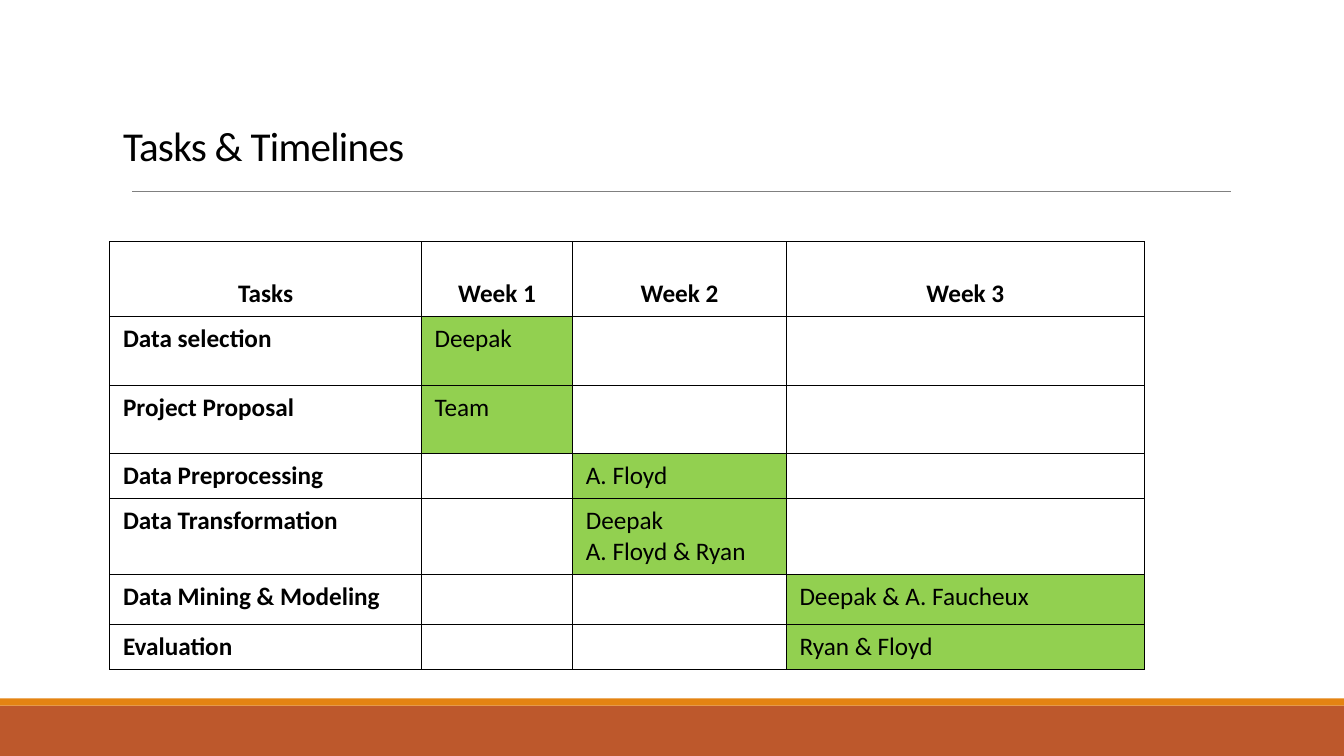
from lxml import etree
from pptx import Presentation
from pptx.dml.color import RGBColor
from pptx.enum.shapes import MSO_CONNECTOR, MSO_SHAPE
from pptx.enum.text import MSO_ANCHOR, PP_ALIGN
from pptx.oxml.ns import qn
from pptx.util import Inches, Pt

CENTER, LEFT = PP_ALIGN.CENTER, PP_ALIGN.LEFT
TOP, MIDDLE, BOTTOM = MSO_ANCHOR.TOP, MSO_ANCHOR.MIDDLE, MSO_ANCHOR.BOTTOM
RECTANGLE, STRAIGHT = MSO_SHAPE.RECTANGLE, MSO_CONNECTOR.STRAIGHT

WIDTH, HEIGHT = 13.33, 7.5
COLORS = {"ink": "000000", "paper": "FFFFFF", "assigned": "92D050",
          "rule": "808080", "rust": "BD582C", "orange": "E48312"}
TABLE_LEFT, TABLE_TOP = 1.09, 2.4
COLUMNS = [3.09, 1.5, 2.12, 3.55]
ROWS = [0.74, 0.68, 0.68, 0.44, 0.74, 0.5, 0.44]
HEADINGS = ["Tasks", "Week 1", "Week 2", "Week 3"]
TASKS = [("Data selection", 1, "Deepak"),
         ("Project Proposal", 1, "Team"),
         ("Data Preprocessing", 2, "A. Floyd"),
         ("Data Transformation", 2, "Deepak\vA. Floyd & Ryan"),
         ("Data Mining & Modeling", 3, "Deepak & A. Faucheux"),
         ("Evaluation", 3, "Ryan & Floyd")]
CELL_MARGINS = {"margin_left": Inches(0.13), "margin_right": Inches(0.13),
                "margin_top": Inches(0.07), "margin_bottom": Inches(0.07)}
TITLE_FRAME = {"word_wrap": True, "vertical_anchor": MIDDLE,
               "margin_left": Inches(0.13), "margin_right": Inches(0.13),
               "margin_top": Inches(0.13), "margin_bottom": Inches(0.13)}


def color(name):
    """Return the named colour."""
    return RGBColor.from_string(COLORS[name])


def apply(target, values):
    """Set every attribute in a dict of format values."""
    for name, value in values.items():
        setattr(target, name, value)


def style_font(font, size, bold=False):
    """Give a font the slide's typeface and ink."""
    apply(font, {"name": "Calibri", "size": Pt(size), "bold": bold})
    font.color.rgb = color("ink")


def add_band(page, top, height, fill):
    """Draw a full-width footer band."""
    band = page.shapes.add_shape(RECTANGLE, 0, Inches(top),
                                 Inches(WIDTH), Inches(height))
    band.shadow.inherit = False
    band.fill.solid()
    band.fill.fore_color.rgb = color(fill)
    band.line.fill.background()


def add_rule(page, left, right, top):
    """Draw the thin horizontal line under the title."""
    rule = page.shapes.add_connector(STRAIGHT, Inches(left), Inches(top),
                                     Inches(right), Inches(top))
    rule.line.width = Pt(0.5)
    rule.line.color.rgb = color("rule")
    etree.SubElement(rule._element.spPr, qn("a:effectLst"))


def add_title(page, text):
    """Write the slide title."""
    box = page.shapes.add_textbox(Inches(1.09), Inches(1.09),
                                  Inches(11.21), Inches(0.78))
    apply(box.text_frame, TITLE_FRAME)
    para = box.text_frame.paragraphs[0]
    para.line_spacing = 0.85
    span = para.add_run()
    span.text = text
    style_font(span.font, 29.3)
    span.font._element.set("spc", "-50")


def add_borders(cell):
    """Outline a cell on all four sides."""
    properties = cell._tc.get_or_add_tcPr()
    for index, side in enumerate(("a:lnL", "a:lnR", "a:lnT", "a:lnB")):
        line = etree.Element(qn(side), w=str(Pt(0.75)))
        fill = etree.SubElement(line, qn("a:solidFill"))
        etree.SubElement(fill, qn("a:srgbClr"), val=COLORS["ink"])
        properties.insert(index, line)


def fill_cell(cell, text, fill="paper", bold=False, align=LEFT, anchor=TOP):
    """Write and format one table cell."""
    apply(cell, {**CELL_MARGINS, "text": text, "vertical_anchor": anchor})
    cell.fill.solid()
    cell.fill.fore_color.rgb = color(fill)
    para = cell.text_frame.paragraphs[0]
    para.alignment = align
    style_font(para.font, 18, bold)
    for span in para.runs:
        style_font(span.font, 18, bold)
    add_borders(cell)


def add_timeline(page):
    """Build the table of tasks by week."""
    frame = page.shapes.add_table(len(ROWS), len(COLUMNS), Inches(TABLE_LEFT),
                                  Inches(TABLE_TOP), Inches(sum(COLUMNS)),
                                  Inches(sum(ROWS)))
    table = frame.table
    apply(table, {"first_row": False, "horz_banding": False})
    for column, width in zip(table.columns, COLUMNS):
        column.width = Inches(width)
    for row, height in zip(table.rows, ROWS):
        row.height = Inches(height)
    for index, heading in enumerate(HEADINGS):
        fill_cell(table.cell(0, index), heading, bold=True,
                  align=CENTER, anchor=BOTTOM)
    for row, (task, week, owner) in enumerate(TASKS, 1):
        fill_cell(table.cell(row, 0), task, bold=True)
        for column in range(1, len(COLUMNS)):
            busy = column == week
            fill_cell(table.cell(row, column), owner if busy else "",
                      "assigned" if busy else "paper")


def main():
    """Build and save the slide."""
    deck = Presentation()
    apply(deck, {"slide_width": Inches(WIDTH), "slide_height": Inches(HEIGHT)})
    page = deck.slides.add_slide(deck.slide_layouts[6])
    add_band(page, HEIGHT - 0.5, 0.5, "rust")
    add_band(page, HEIGHT - 0.57, 0.07, "orange")
    add_rule(page, 1.31, 12.21, 1.9)
    add_timeline(page)
    add_title(page, "Tasks & Timelines")
    deck.save("out.pptx")


if __name__ == "__main__":
    main()
